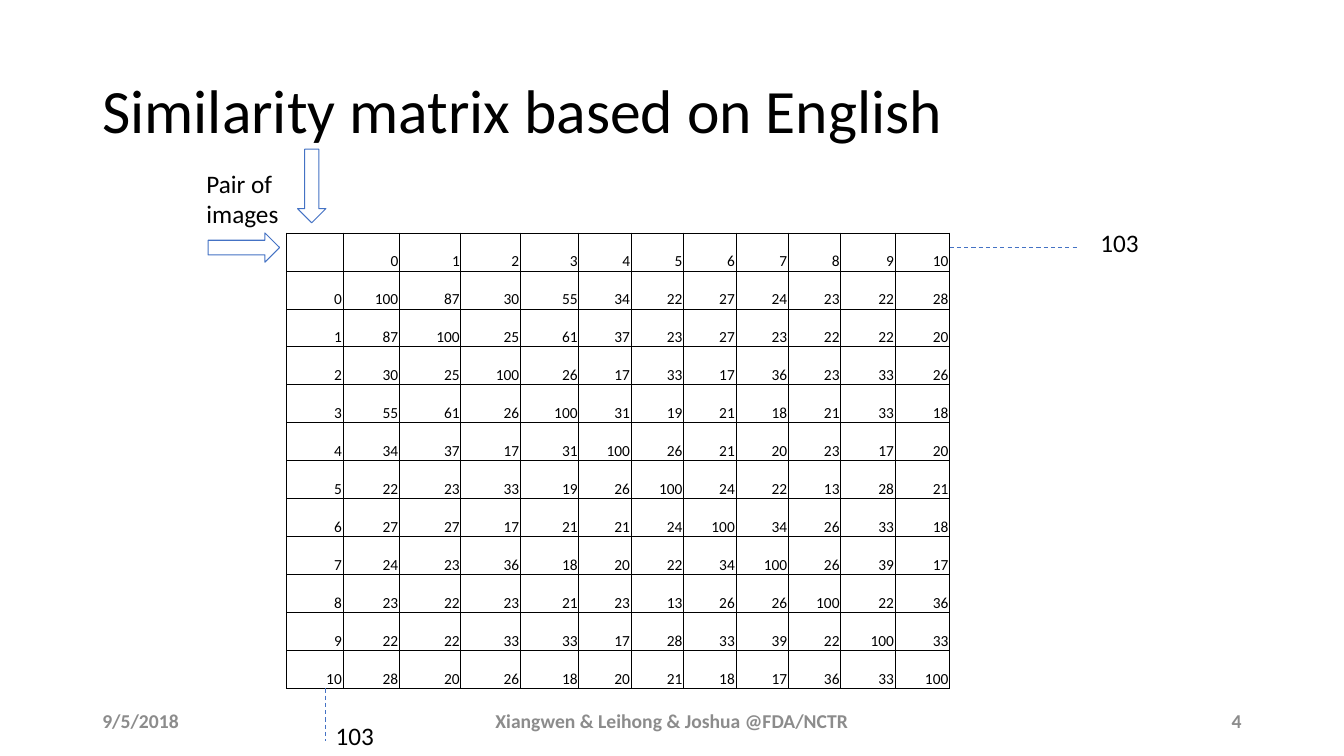
import dataclasses

import lxml.etree
import pptx
import pptx.dml.color
import pptx.enum.dml
import pptx.enum.shapes
import pptx.enum.text
import pptx.oxml.ns
import pptx.util

Pt = pptx.util.Pt
Align = pptx.enum.text.PP_ALIGN
Anchor = pptx.enum.text.MSO_ANCHOR
Shape = pptx.enum.shapes.MSO_SHAPE

SIMILARITIES = [
    [100],
    [87, 100],
    [30, 25, 100],
    [55, 61, 26, 100],
    [34, 37, 17, 31, 100],
    [22, 23, 33, 19, 26, 100],
    [27, 27, 17, 21, 21, 24, 100],
    [24, 23, 36, 18, 20, 22, 34, 100],
    [23, 22, 23, 21, 23, 13, 26, 26, 100],
    [22, 22, 33, 33, 17, 28, 33, 39, 22, 100],
    [28, 20, 26, 18, 20, 21, 18, 17, 36, 33, 100],
]
COLUMN_WIDTHS = [40.32, 40.32, 43.92, 42.48, 41.76] + [37.44] * 5 + [38.88] * 2
ROW_HEIGHT = 27.12


@dataclasses.dataclass
class Theme:
    font: str = "Calibri"
    ink: str = "000000"
    muted: str = "8C8C8C"
    accent: str = "4472C4"
    title: float = 44
    label: float = 18
    footer: float = 14
    value: float = 11
    line: float = 0.75
    border: float = 0.5


class MatrixSlide:
    """Draws the parts of one slide in the style of a theme."""

    def __init__(self, slide, theme):
        self.shapes = slide.shapes
        self.theme = theme

    def add_wording(self, frame, wording, size, color, align=Align.LEFT, bold=False):
        paragraph = frame.paragraphs[0]
        paragraph.alignment = align
        run = paragraph.add_run()
        run.text = wording
        run.font.name = self.theme.font
        run.font.size = Pt(size)
        run.font.bold = bold
        run.font.color.rgb = pptx.dml.color.RGBColor.from_string(color)
        return paragraph

    def text(self, box, wording, size, color, align=Align.LEFT, bold=False, anchor=Anchor.TOP):
        frame = self.shapes.add_textbox(*map(Pt, box)).text_frame
        frame.word_wrap = True
        frame.vertical_anchor = anchor
        return self.add_wording(frame, wording, size, color, align, bold)

    def outline(self, line):
        line.color.rgb = pptx.dml.color.RGBColor.from_string(self.theme.accent)
        line.width = Pt(self.theme.line)

    def arrow(self, preset, box):
        arrow = self.shapes.add_shape(preset, *map(Pt, box))
        arrow.shadow.inherit = False
        arrow.fill.background()
        self.outline(arrow.line)

    def dashed_line(self, *ends):
        straight = pptx.enum.shapes.MSO_CONNECTOR.STRAIGHT
        extension = self.shapes.add_connector(straight, *map(Pt, ends))
        self.outline(extension.line)
        extension.line.dash_style = pptx.enum.dml.MSO_LINE.DASH
        properties = extension._element.spPr
        lxml.etree.SubElement(properties, pptx.oxml.ns.qn("a:effectLst"))

    def border(self, cell):
        qn = pptx.oxml.ns.qn
        properties = cell._tc.get_or_add_tcPr()
        for side in ("a:lnL", "a:lnR", "a:lnT", "a:lnB"):
            edge = lxml.etree.SubElement(properties, qn(side), w=str(Pt(self.theme.border)))
            fill = lxml.etree.SubElement(edge, qn("a:solidFill"))
            lxml.etree.SubElement(fill, qn("a:srgbClr"), val=self.theme.ink)

    def matrix(self, left, top, rows):
        size = len(rows)
        frame = self.shapes.add_table(
            size, size, Pt(left), Pt(top), Pt(sum(COLUMN_WIDTHS)), Pt(ROW_HEIGHT * size)
        )
        table = frame.table
        table.first_row = table.horz_banding = False
        for column, width in zip(table.columns, COLUMN_WIDTHS):
            column.width = Pt(width)
        for table_row, values in zip(table.rows, rows):
            table_row.height = Pt(ROW_HEIGHT)
            for cell, value in zip(table_row.cells, values):
                cell.margin_left = cell.margin_right = cell.margin_top = Pt(0.72)
                cell.margin_bottom = Pt(0)
                cell.vertical_anchor = Anchor.BOTTOM
                self.border(cell)
                cell.fill.background()
                if value != "":
                    self.add_wording(
                        cell.text_frame, str(value), self.theme.value, self.theme.ink, Align.RIGHT
                    )


def similarity_rows():
    images = range(len(SIMILARITIES))
    header = ["", *images]
    return [header] + [
        [row, *(SIMILARITIES[max(row, column)][min(row, column)] for column in images)]
        for row in images
    ]


def main():
    deck = pptx.Presentation()
    deck.slide_width, deck.slide_height = Pt(960), Pt(540)
    theme = Theme()
    slide = MatrixSlide(deck.slides.add_slide(deck.slide_layouts[6]), theme)

    title = slide.text(
        (66, 28.8, 828, 104.4), "Similarity matrix based on English",
        theme.title, theme.ink, anchor=Anchor.MIDDLE,
    )
    title.line_spacing = 0.9

    for left, width, wording, align in (
        (66, 216, "9/5/2018", Align.LEFT),
        (318, 324, "Xiangwen & Leihong & Joshua @FDA/NCTR", Align.CENTER),
        (678, 216, "4", Align.RIGHT),
    ):
        slide.text(
            (left, 500.4, width, 28.8), wording, theme.footer, theme.muted,
            align, bold=True, anchor=Anchor.MIDDLE,
        )

    slide.matrix(204.6, 166.4, similarity_rows())
    slide.arrow(Shape.RIGHT_ARROW, (148.6, 166.4, 51.12, 20.88))
    slide.arrow(Shape.DOWN_ARROW, (212.6, 106.6, 20.16, 52.56))
    slide.dashed_line(678.4, 177.1, 770.4, 177.1)
    slide.dashed_line(232.6, 491.8, 232.6, 529.2)

    for box, wording in (
        ((140.4, 116.6, 82.08, 51.12), "Pair of images"),
        ((779, 159.1, 72, 28.8), "103"),
        ((232.6, 511.2, 72, 28.8), "103"),
    ):
        slide.text(box, wording, theme.label, theme.ink)

    deck.save("out.pptx")


if __name__ == "__main__":
    main()
